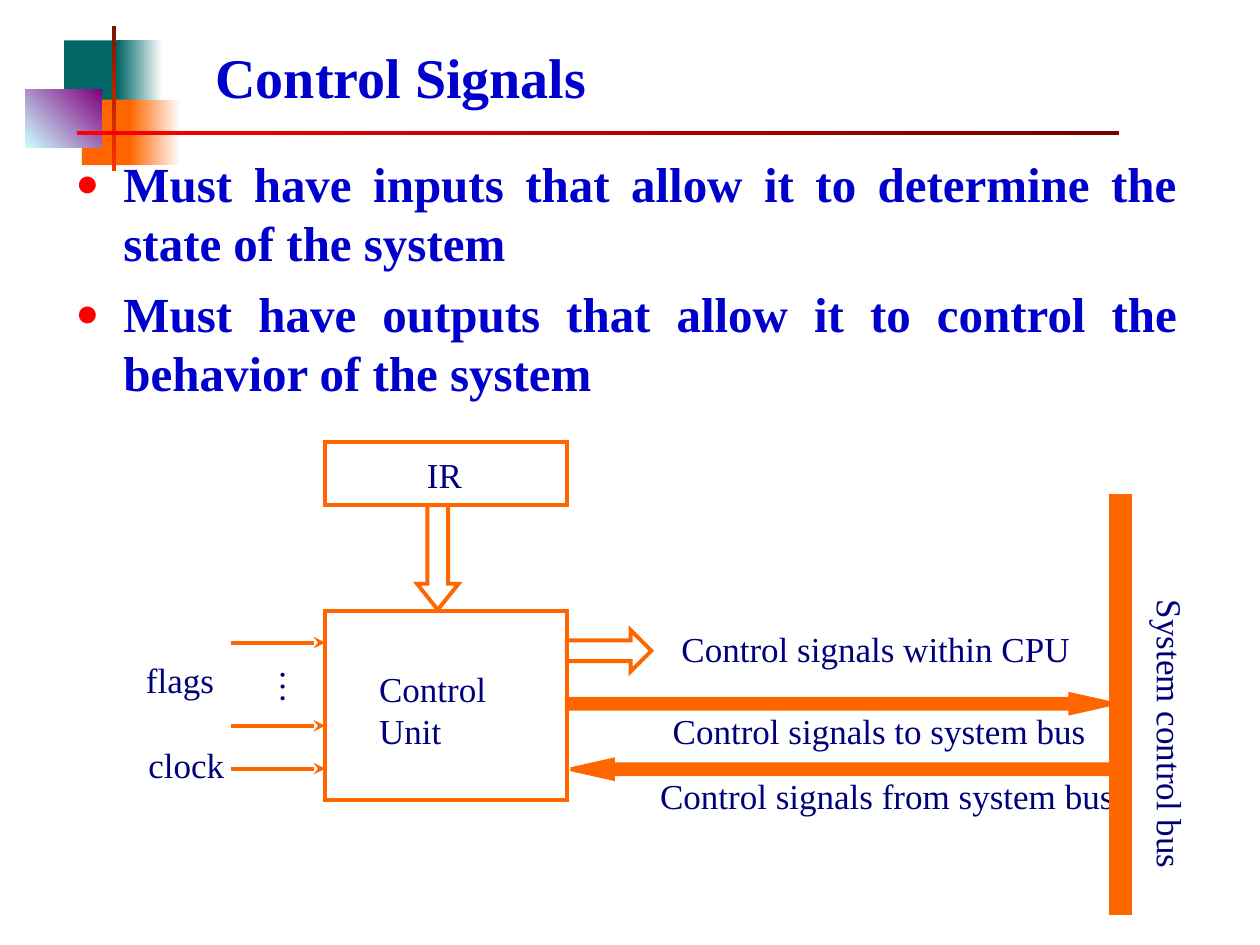
from pptx import Presentation
from pptx.dml.color import RGBColor
from pptx.enum.shapes import MSO_CONNECTOR, MSO_SHAPE
from pptx.enum.text import MSO_ANCHOR, MSO_AUTO_SIZE, PP_ALIGN
from pptx.oxml.ns import qn
from pptx.util import Inches, Pt
from lxml import etree

RECT, RIGHT, DOWN = MSO_SHAPE.RECTANGLE, MSO_SHAPE.RIGHT_ARROW, MSO_SHAPE.DOWN_ARROW
STRAIGHT = MSO_CONNECTOR.STRAIGHT
MIDDLE, TOP = MSO_ANCHOR.MIDDLE, MSO_ANCHOR.TOP
NO_FIT, GROW = MSO_AUTO_SIZE.NONE, MSO_AUTO_SIZE.SHAPE_TO_FIT_TEXT
LEFT, JUSTIFY = PP_ALIGN.LEFT, PP_ALIGN.JUSTIFY

COLORS = {
    "head": "0000CC", "label": "00007A", "orange": "FF6600", "teal": "006666",
    "white": "FFFFFF", "purple": "800080", "ice": "CCFFFF", "red": "FF0000",
    "scarlet": "FF3300", "rust": "761800", "maroon": "760000",
}
FONTS = {
    "title": {"size": Pt(32), "bold": True},
    "body": {"size": Pt(28), "bold": True},
    "label": {"size": Pt(20), "bold": False},
}


def color(name):
    return RGBColor.from_string(COLORS[name])


def place(item, box):
    item.left, item.top, item.width, item.height = map(Inches, box)


class Deck:
    def __init__(self, slide, face):
        self.slide, self.face = slide, face

    def style(self, para, kind, ink):
        for key, value in {"name": self.face, **FONTS[kind]}.items():
            setattr(para.font, key, value)
        para.font.color.rgb = color(ink)

    def shape(self, box, fill=None, line=None, width=2.25, kind=RECT, adj=(), turn=0):
        item = self.slide.shapes.add_shape(kind, *map(Inches, box))
        item.shadow.inherit = False
        item.rotation = turn
        for i, value in enumerate(adj):
            item.adjustments[i] = value
        if fill:
            item.fill.solid()
            item.fill.fore_color.rgb = color(fill)
        else:
            item.fill.background()
        if line:
            item.line.color.rgb = color(line)
            item.line.width = Pt(width)
            etree.SubElement(item.line._get_or_add_ln(), qn("a:miter"), lim="800000")
        else:
            item.line.fill.background()
        return item

    def fade(self, box, start, end, angle):
        fill = self.shape(box).fill
        fill.gradient()
        fill.gradient_angle = angle
        for stop, name, at in zip(fill.gradient_stops, (start, end), (0, 1)):
            stop.color.rgb = color(name)
            stop.position = at

    def label(self, box, text, upright=False):
        item = self.slide.shapes.add_textbox(*map(Inches, box))
        frame = item.text_frame
        frame.text = text
        frame.word_wrap = False
        frame.auto_size = GROW
        if upright:
            frame.margin_left = frame.margin_right = Inches(0.05)
            frame.margin_top = frame.margin_bottom = Inches(0.1)
            frame._txBody.bodyPr.set("vert", "eaVert")
        for para in frame.paragraphs:
            self.style(para, "label", "label")

    def arrow(self, x, y, end):
        item = self.slide.shapes.add_connector(STRAIGHT, *map(Inches, (x, y, end, y)))
        item.line.color.rgb = color("orange")
        item.line.width = Pt(2.25)
        etree.SubElement(item.line._get_or_add_ln(), qn("a:tailEnd"), type="stealth")
        etree.SubElement(item._element.spPr, qn("a:effectLst"))

    def title(self, box, text):
        item = self.slide.shapes.title
        place(item, box)
        frame = item.text_frame
        frame.text = text
        frame.vertical_anchor = MIDDLE
        frame.auto_size = NO_FIT
        para = frame.paragraphs[0]
        para.alignment = LEFT
        self.style(para, "title", "head")

    def bullets(self, box, lines):
        item = self.slide.placeholders[1]
        place(item, box)
        frame = item.text_frame
        frame.text = "\n".join(lines)
        frame.vertical_anchor = TOP
        frame.auto_size = NO_FIT
        for i, para in enumerate(frame.paragraphs):
            props = para._p.get_or_add_pPr()
            props.set("marL", str(Inches(0.38)))
            props.set("indent", str(Inches(-0.38)))
            tint = etree.SubElement(props, qn("a:buClr"))
            etree.SubElement(tint, qn("a:srgbClr"), val=COLORS["red"])
            etree.SubElement(props, qn("a:buSzPct"), val="80000")
            etree.SubElement(props, qn("a:buChar"), char="●")
            para.alignment = JUSTIFY
            para.space_before = Pt(7 if i else 0)
            self.style(para, "body", "head")


def main():
    prs = Presentation()
    prs.slide_width, prs.slide_height = Inches(10), Inches(7.5)
    deck = Deck(prs.slides.add_slide(prs.slide_layouts[1]), "Times New Roman")

    # Corner squares and rules
    deck.shape((0.51, 0.32, 0.48, 0.52), "teal")
    deck.fade((0.93, 0.32, 0.36, 0.52), "white", "teal", 180)
    deck.shape((0.65, 0.79, 0.46, 0.52), "orange")
    deck.fade((1.03, 0.79, 0.4, 0.52), "white", "orange", 180)
    deck.fade((0.2, 0.71, 0.61, 0.46), "purple", "ice", 225)
    deck.fade((0.89, 0.21, 0.03, 1.15), "rust", "scarlet", 270)
    deck.fade((0.61, 1.04, 8.27, 0.03), "red", "maroon", 0)

    # Title and list
    deck.title((1.61, 0.22, 4.03, 0.77), "Control Signals")
    deck.bullets((0.5, 1.17, 8.94, 2.2), [
        "Must have inputs that allow it to determine the state of the system",
        "Must have outputs that allow it to control the behavior of the system",
    ])

    # Register and control unit
    for top, height in ((3.51, 0.5), (4.85, 1.5)):
        deck.shape((2.58, top, 1.92, height), line="orange")
    deck.shape((3.31, 4.01, 0.33, 0.83), line="orange", kind=DOWN, adj=(0.5, 0.625))
    deck.label((3.29, 3.55, 0.48, 0.44), "IR")
    deck.label((2.91, 5.25, 1.12, 0.77), "Control\nUnit")

    # Inputs
    for y in (5.1, 5.76, 6.1):
        deck.arrow(1.83, y, 2.58)
    deck.label((2.03, 5.21, 0.53, 0.38), "…", upright=True)
    deck.label((1.06, 5.18, 0.74, 0.44), "flags")
    deck.label((1.08, 5.85, 0.8, 0.44), "clock")

    # Outputs and bus signals
    deck.shape((4.5, 5, 0.67, 0.33), line="orange", kind=RIGHT, adj=(0.5, 0.5))
    for x, y, turn in ((4.5, 5.51, 0), (4.53, 6.03, 180)):
        deck.shape((x, y, 4.33, 0.15), "orange", "orange",
                   kind=RIGHT, adj=(0.52, 2.23), turn=turn)
    deck.label((5.31, 4.93, 3.4, 0.44), "Control signals within CPU")
    deck.label((5.24, 5.58, 3.48, 0.44), "Control signals to system bus")
    deck.label((5.14, 6.1, 3.8, 0.44), "Control signals from system bus")

    # System bus
    deck.label((8.98, 4.66, 0.53, 2.24), "System control bus", upright=True)
    deck.shape((8.81, 3.93, 0.17, 3.33), "orange", "orange", 0.75)

    prs.save("out.pptx")


if __name__ == "__main__":
    main()
